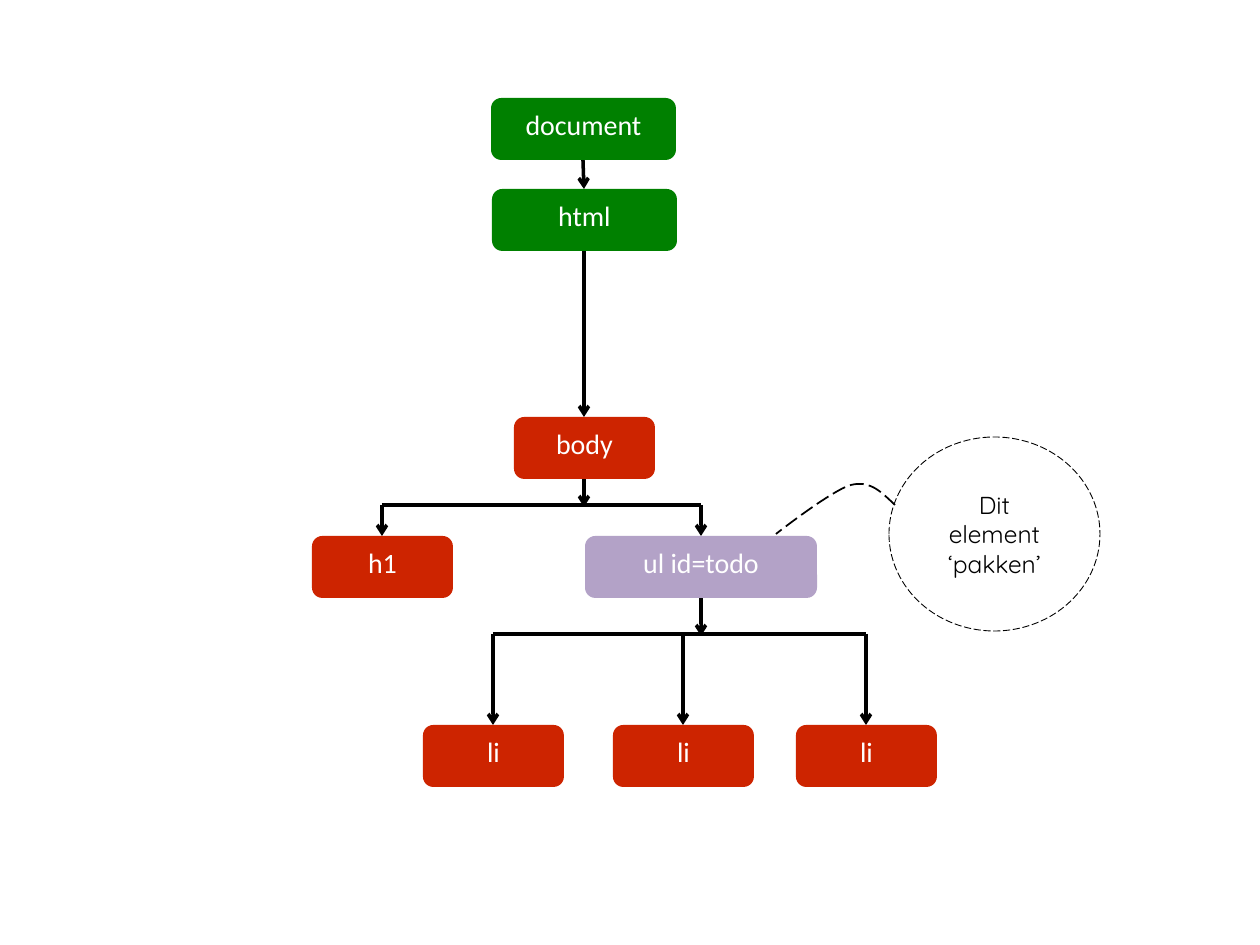
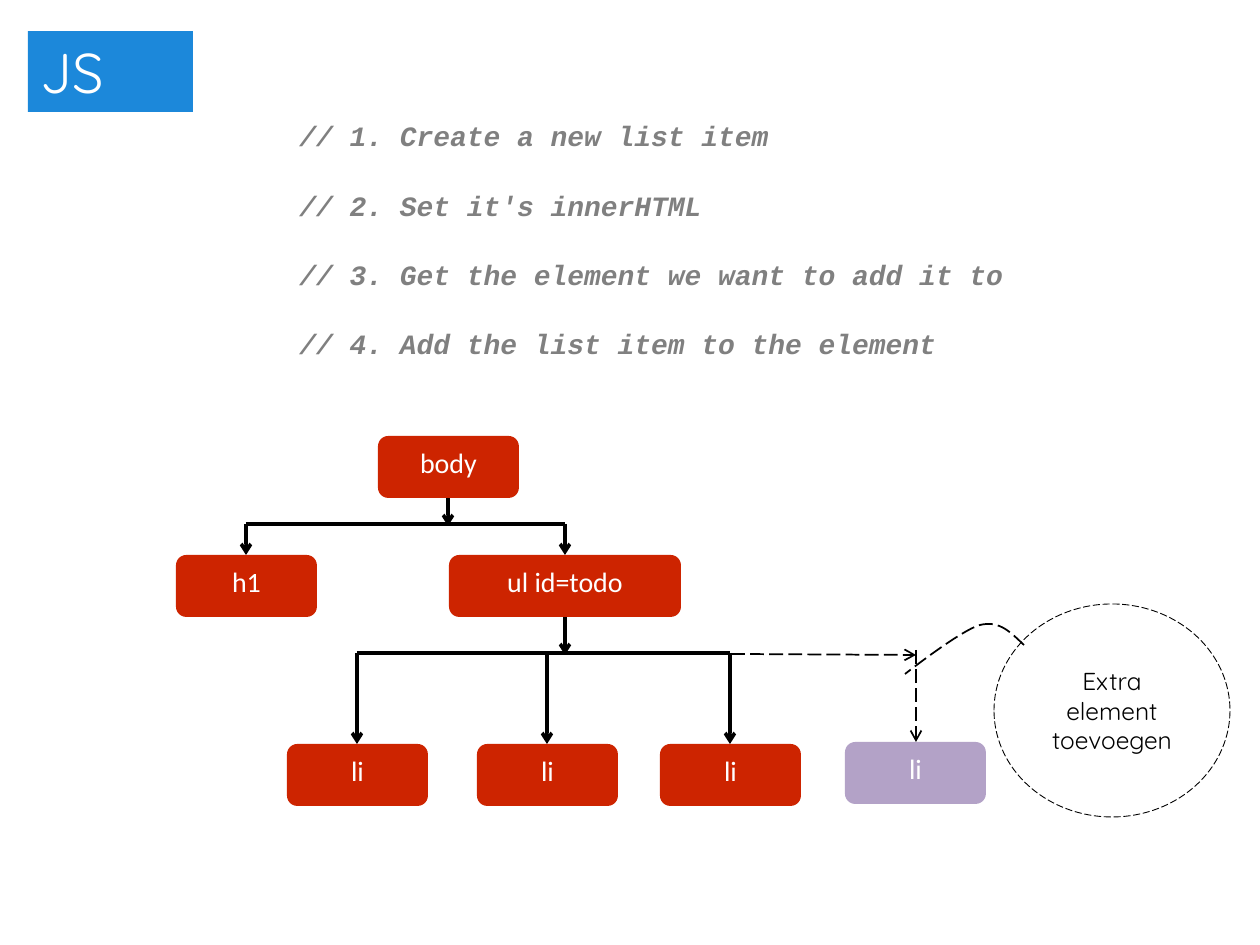
from dataclasses import dataclass

from pptx import Presentation
from pptx import util as u
from pptx.dml.color import RGBColor
from pptx.enum import dml, shapes, text
from pptx.oxml.ns import qn
from lxml import etree

SCALE = 914400 / 126
NODE_WIDTH, NODE_HEIGHT = 141, 62
CURVE_BENDS = [
    [(0, 0), (-13, -12), (-24, -25), (-44, -20)],
    [(-44, -20), (-63, -15), (-119, 29), (-119, 29)],
]
CODE_STEPS = [
    "// 1. Create a new list item",
    "// 2. Set it's innerHTML",
    "// 3. Get the element we want to add it to",
    "// 4. Add the list item to the element",
]


@dataclass(frozen=True)
class Theme:
    """Colours, line widths and type styles of the deck."""
    root: str = "008000"
    element: str = "CD2400"
    highlight: str = "B3A2C7"
    badge: str = "1C88DA"
    ink: str = "000000"
    paper: str = "FFFFFF"
    code_ink: str = "808080"
    thick: float = 2
    medium: float = 1
    thin: float = 0.5
    code_gap: float = 20.3

    def node_font(self):
        """Return the type style of a tree node."""
        return {"name": "Calibri", "size": u.Pt(16), "color": self.paper}

    def note_font(self):
        """Return the type style of a callout."""
        return {"name": "Quicksand", "size": u.Pt(14), "color": self.ink}

    def badge_font(self):
        """Return the type style of the title badge."""
        return {"name": "Quicksand", "size": u.Pt(32), "color": self.paper}

    def code_font(self):
        """Return the type style of code comments."""
        return {"name": "Courier New", "size": u.Pt(16), "bold": True,
                "italic": True, "color": self.code_ink}


THEME = Theme()


def px(length):
    """Turn px into EMU."""
    return u.Emu(round(length * SCALE))


def set_fill(shape, colour):
    """Fill a shape with a colour."""
    shape.fill.solid()
    shape.fill.fore_color.rgb = RGBColor.from_string(colour)


def set_line(line, width, dashed=False):
    """Give a line the ink colour, a width and optional dashes."""
    line.color.rgb = RGBColor.from_string(THEME.ink)
    line.width = u.Pt(width)
    if dashed:
        line.dash_style = dml.MSO_LINE.LONG_DASH


def write(shape, lines, font, align, anchor):
    """Write one paragraph per line in a shape."""
    frame = shape.text_frame
    layout = {"word_wrap": True, "auto_size": text.MSO_AUTO_SIZE.NONE,
              "vertical_anchor": anchor}
    for name, value in layout.items():
        setattr(frame, name, value)
    for index, line in enumerate(lines):
        para = frame.add_paragraph() if index else frame.paragraphs[0]
        para.alignment = align
        span = para.add_run()
        span.text = line
        for name, value in font.items():
            if name == "color":
                span.font.color.rgb = RGBColor.from_string(value)
            else:
                setattr(span.font, name, value)


def add_node(slide, label, left, top, width=NODE_WIDTH, colour=THEME.element):
    """Add a rounded tree node."""
    node = slide.shapes.add_shape(shapes.MSO_SHAPE.ROUNDED_RECTANGLE,
                                  *map(px, (left, top, width, NODE_HEIGHT)))
    node.shadow.inherit = False
    set_fill(node, colour)
    node.line.fill.background()
    write(node, [label], THEME.node_font(), text.PP_ALIGN.CENTER, text.MSO_ANCHOR.TOP)


def add_line(slide, start, end, arrow=True, width=THEME.thick, dashed=False):
    """Add a straight line, with an arrowhead unless told otherwise."""
    line = slide.shapes.add_connector(shapes.MSO_CONNECTOR.STRAIGHT,
                                      *map(px, (*start, *end)))
    set_line(line.line, width, dashed)
    if arrow:
        etree.SubElement(line.line._get_or_add_ln(), qn("a:tailEnd"), type="arrow")
    etree.SubElement(line._element.spPr, qn("a:effectLst"))


def add_branches(slide, parent, bus_y, children, child_y):
    """Join a parent to its children through a horizontal bus."""
    parent_x, parent_y = parent
    add_line(slide, (children[0], bus_y), (children[-1], bus_y), arrow=False)
    add_line(slide, parent, (parent_x, bus_y + 2))
    for child_x in children:
        add_line(slide, (child_x, bus_y), (child_x, child_y))


def add_tree(slide, left, top, list_colour=THEME.element):
    """Add the body tree, with body at left and top."""
    half = NODE_WIDTH // 2
    list_width = 232
    heading_left, list_left = left - 202, left + 71
    child_top, item_top = top + 119, top + 308
    item_lefts = [left + shift for shift in (-91, 99, 282)]
    list_centre = list_left + list_width // 2
    add_branches(slide, (left + half, top + NODE_HEIGHT), top + 88,
                 [heading_left + half, list_centre], child_top)
    add_branches(slide, (list_centre, child_top + NODE_HEIGHT), top + 217,
                 [item_left + half for item_left in item_lefts], item_top)
    add_node(slide, "body", left, top)
    add_node(slide, "h1", heading_left, child_top)
    add_node(slide, "ul id=todo", list_left, child_top, list_width, list_colour)
    for item_left in item_lefts:
        add_node(slide, "li", item_left, item_top)


def bezier(points, t):
    """Return the point at t on a cubic curve."""
    weights = ((1 - t) ** 3, 3 * t * (1 - t) ** 2, 3 * t * t * (1 - t), t ** 3)
    return tuple(sum(w * point[axis] for w, point in zip(weights, points))
                 for axis in (0, 1))


def add_callout(slide, lines, bounds, tail):
    """Add a dashed circle with a note and a curved dashed tail."""
    circle = slide.shapes.add_shape(shapes.MSO_SHAPE.OVAL, *map(px, bounds))
    circle.fill.background()
    set_line(circle.line, THEME.thin, dashed=True)
    write(circle, lines, THEME.note_font(), text.PP_ALIGN.CENTER, text.MSO_ANCHOR.MIDDLE)
    steps = 16
    trace = [bezier(bend, step / steps)
             for bend in CURVE_BENDS for step in range(1, steps + 1)]
    x, y = tail
    builder = slide.shapes.build_freeform(px(x), px(y))
    builder.add_line_segments([(px(x + dx), px(y + dy)) for dx, dy in trace], close=False)
    curve = builder.convert_to_shape()
    curve.fill.background()
    set_line(curve.line, THEME.medium, dashed=True)
    for shape in (circle, curve):
        shape.shadow.inherit = False


def add_badge(slide, label):
    """Turn the title placeholder into a coloured badge."""
    title = slide.shapes.title
    place = {"left": 28, "top": 31, "width": 165, "height": 81}
    for name, value in place.items():
        setattr(title, name, px(value))
    set_fill(title, THEME.badge)
    write(title, [label], THEME.badge_font(), text.PP_ALIGN.LEFT, text.MSO_ANCHOR.TOP)


def add_code(slide, lines):
    """Add the spaced code comments."""
    box = slide.shapes.add_textbox(*map(px, (287, 114, 740, 251)))
    set_fill(box, THEME.paper)
    write(box, lines, THEME.code_font(), text.PP_ALIGN.LEFT, text.MSO_ANCHOR.MIDDLE)
    for para in box.text_frame.paragraphs[1:]:
        para.space_before = u.Pt(THEME.code_gap)


def build_select_slide(deck):
    """Show the document tree with the list picked out."""
    slide = deck.slides.add_slide(deck.slide_layouts.get_by_name("Blank"))
    add_line(slide, (583, 160), (584, 189))
    add_line(slide, (584, 251), (584, 417))
    add_node(slide, "document", 491, 98, 185, THEME.root)
    add_node(slide, "html", 492, 189, 185, THEME.root)
    add_tree(slide, 514, 417, THEME.highlight)
    add_callout(slide, ["Dit element", "‘pakken’"], (889, 437, 211, 194), (895, 505))


def build_append_slide(deck):
    """Show the steps and the tree with an added list item."""
    slide = deck.slides.add_slide(deck.slide_layouts.get_by_name("Title Only"))
    add_badge(slide, "JS")
    add_code(slide, CODE_STEPS)
    add_tree(slide, 378, 436)
    add_node(slide, "li", 845, 742, colour=THEME.highlight)
    add_callout(slide, ["Extra element toevoegen"], (994, 604, 236, 213), (1024, 645))
    for start, end in (((731, 654), (916, 655)), ((916, 650), (916, 742))):
        add_line(slide, start, end, width=THEME.medium, dashed=True)


def main():
    """Build and save the deck."""
    deck = Presentation()
    deck.slide_width, deck.slide_height = px(1260), px(945)
    build_select_slide(deck)
    build_append_slide(deck)
    deck.save("out.pptx")


if __name__ == "__main__":
    main()
